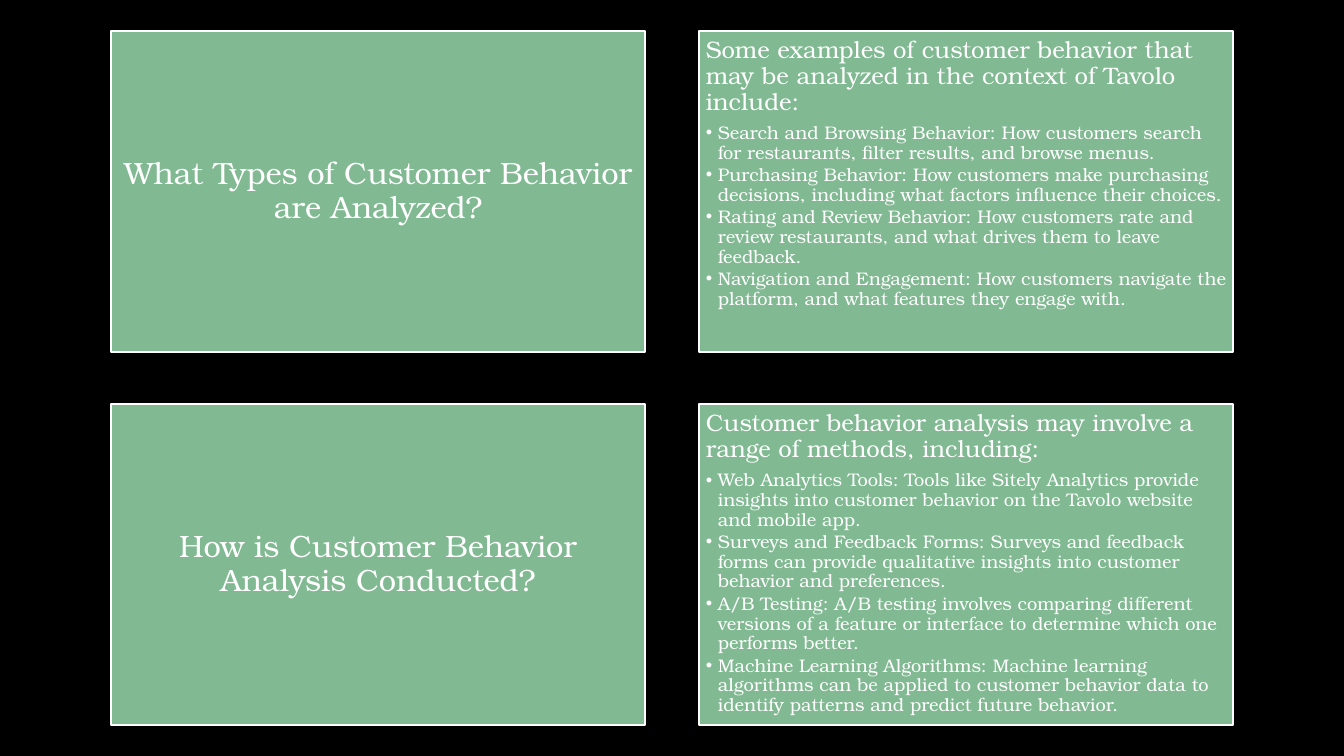
from dataclasses import dataclass

from lxml.etree import SubElement
from pptx import Presentation
from pptx.dml.color import RGBColor
from pptx.enum.text import MSO_ANCHOR, MSO_AUTO_SIZE, PP_ALIGN
from pptx.oxml.ns import qn
from pptx.shapes.placeholder import SlidePlaceholder
from pptx.text.text import TextFrame
from pptx.util import Inches, Pt

BLACK = RGBColor(0x00, 0x00, 0x00)
GREEN = RGBColor(0x81, 0xB9, 0x92)
WHITE = RGBColor(0xFF, 0xFF, 0xFF)
FONT = "TeX Gyre Bonum"

# Card grid, in inches
LEFT, TOP = 1.1, 0.31
CARD_W, CARD_H = 5.3, 3.18
COL_STEP, ROW_STEP = 5.83, 3.7
BULLET_INDENT = 0.12


@dataclass
class Card:
    col: int
    row: int
    placeholder: int
    heading: str
    bullets: tuple[str, ...] = ()


CARDS = (
    Card(0, 0, 0, "What Types of Customer Behavior are Analyzed?"),
    Card(1, 0, 2, "Some examples of customer behavior that may be analyzed "
         "in the context of Tavolo include:", (
             "Search and Browsing Behavior: How customers search for restaurants, "
             "filter results, and browse menus.",
             "Purchasing Behavior: How customers make purchasing decisions, "
             "including what factors influence their choices.",
             "Rating and Review Behavior: How customers rate and review restaurants, "
             "and what drives them to leave feedback.",
             "Navigation and Engagement: How customers navigate the platform, "
             "and what features they engage with.")),
    Card(0, 1, 1, "How is Customer Behavior Analysis Conducted?"),
    Card(1, 1, 4, "Customer behavior analysis may involve a range of methods, "
         "including:", (
             "Web Analytics Tools: Tools like Sitely Analytics provide insights into "
             "customer behavior on the Tavolo website and mobile app.",
             "Surveys and Feedback Forms: Surveys and feedback forms can provide "
             "qualitative insights into customer behavior and preferences.",
             "A/B Testing: A/B testing involves comparing different versions of a "
             "feature or interface to determine which one performs better.",
             "Machine Learning Algorithms: Machine learning algorithms can be applied "
             "to customer behavior data to identify patterns and predict future "
             "behavior.")),
)


def add_text(tf: TextFrame, text: str, *, size: float, after: float,
             align: PP_ALIGN = PP_ALIGN.LEFT, bullet: bool = False) -> None:
    """Add a paragraph; after is the space below as a share of the text size."""
    p = tf.add_paragraph() if tf.text else tf.paragraphs[0]
    p.alignment = align
    p.level = int(bullet)
    p.line_spacing = 0.9
    p.space_before = Pt(0)
    p.space_after = Pt(size * after)
    r = p.add_run()
    r.text = text
    r.font.name, r.font.size, r.font.bold = FONT, Pt(size), False
    r.font.color.rgb = WHITE

    # Bullet and hanging indent
    indent = Inches(BULLET_INDENT) if bullet else 0
    pPr = p._p.get_or_add_pPr()
    pPr.set("marL", str(indent))
    pPr.set("indent", str(-indent))
    if bullet:
        SubElement(pPr, qn("a:buChar")).set("char", "•")
    else:
        SubElement(pPr, qn("a:buNone"))


def draw_card(sp: SlidePlaceholder, card: Card) -> None:
    sp.left = Inches(LEFT + card.col * COL_STEP)
    sp.top = Inches(TOP + card.row * ROW_STEP)
    sp.width, sp.height = Inches(CARD_W), Inches(CARD_H)
    sp.fill.solid()
    sp.fill.fore_color.rgb = GREEN
    sp.line.color.rgb = WHITE
    sp.line.width = Pt(1.5)

    tf = sp.text_frame
    tf.word_wrap = True
    tf.auto_size = MSO_AUTO_SIZE.NONE
    tf.vertical_anchor = MSO_ANCHOR.TOP if card.bullets else MSO_ANCHOR.MIDDLE
    inset = Inches(0.07 if card.bullets else 0.09)
    tf.margin_left = tf.margin_right = tf.margin_top = tf.margin_bottom = inset

    if card.bullets:
        add_text(tf, card.heading, size=17, after=0.35)
    else:
        add_text(tf, card.heading, size=22, after=0.35, align=PP_ALIGN.CENTER)
    for bullet in card.bullets:
        add_text(tf, bullet, size=13, after=0.15, bullet=True)


def main() -> None:
    prs = Presentation()
    prs.slide_width, prs.slide_height = Inches(13.33), Inches(7.5)
    slide = prs.slides.add_slide(prs.slide_layouts.get_by_name("Comparison"))
    slide.background.fill.solid()
    slide.background.fill.fore_color.rgb = BLACK

    # Questions on the left, answers on the right
    holders = {sp.placeholder_format.idx: sp for sp in slide.placeholders}
    for card in CARDS:
        draw_card(holders.pop(card.placeholder), card)

    # Unused placeholders
    for sp in holders.values():
        sp.element.getparent().remove(sp.element)

    prs.save("out.pptx")


if __name__ == "__main__":
    main()
